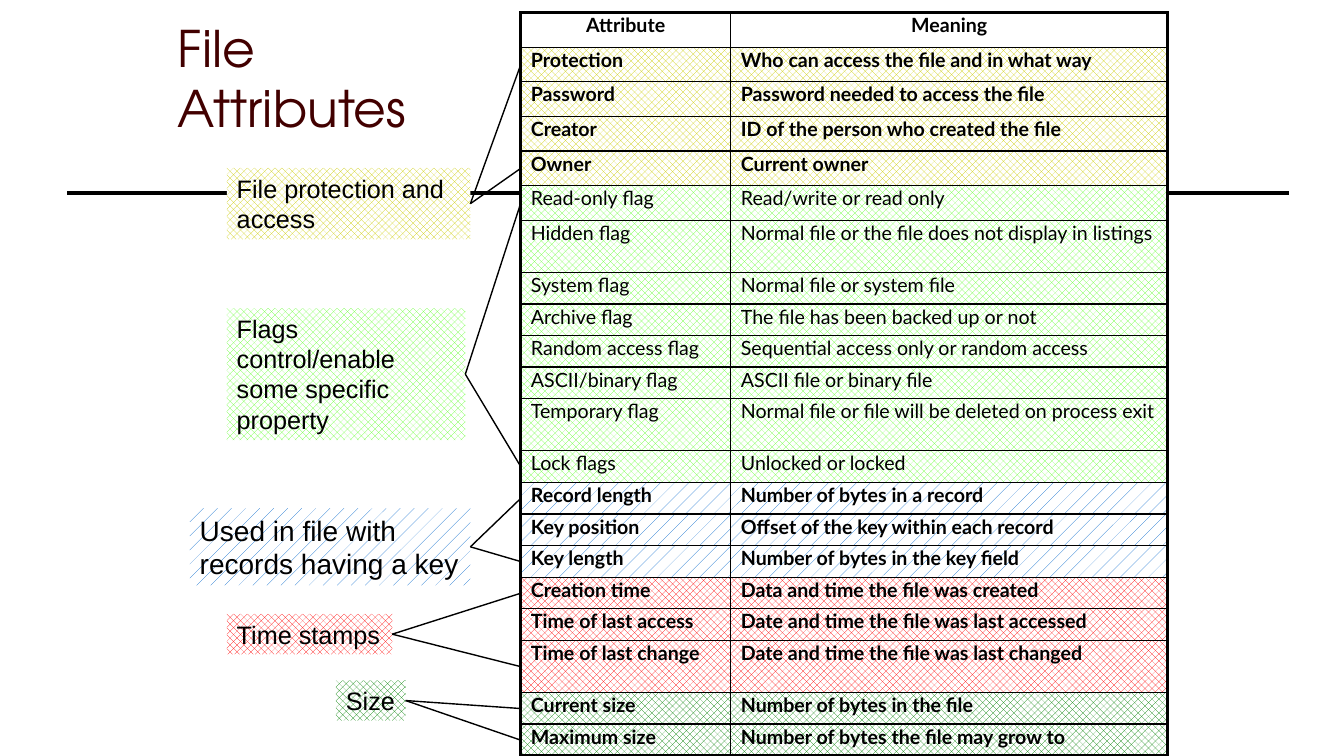
from itertools import accumulate

from lxml import etree
from pptx import Presentation
from pptx import util as u
from pptx.dml.color import RGBColor
from pptx.enum import dml, shapes, text
from pptx.oxml import ns

COLORS = {"ink": "000000", "paper": "FFFFFF", "title": "420000", "protection": "CCCC00",
          "flags": "66FF33", "records": "0066CC", "times": "FF0000", "size": "008000"}
COLUMNS, ROWS = 160, 90
THIN, THICK = 1, 2.25
TABLE_LEFT, TABLE_TOP, TABLE_HEIGHT = 62, 1.5, 88.5
TABLE_COLUMNS = (25, 52)
UPPER_ROW, TALL_ROW = 4.12, 6.2
UPPER_ROWS = range(6)
TALL_ROWS = {"Hidden flag", "Temporary flag", "Time of last change"}

# colour name, label, label box (left, top, width, height), label size, wraps, attributes
GROUPS = [
    ("protection", "File protection and access", (27, 20, 29, 8.5), 18, True, [
        ("Protection", "Who can access the file and in what way"),
        ("Password", "Password needed to access the file"),
        ("Creator", "ID of the person who created the file"),
        ("Owner", "Current owner")]),
    ("flags", "Flags control/enable some specific property", (27, 36.7, 28.4, 15.7), 18, True, [
        ("Read-only flag", "Read/write or read only"),
        ("Hidden flag", "Normal file or the file does not display in listings"),
        ("System flag", "Normal file or system file"),
        ("Archive flag", "The file has been backed up or not"),
        ("Random access flag", "Sequential access only or random access"),
        ("ASCII/binary flag", "ASCII file or binary file"),
        ("Temporary flag", "Normal file or file will be deleted on process exit"),
        ("Lock flags", "Unlocked or locked")]),
    ("records", "Used in file with records having a key", (22.6, 60.5, 33.4, 9.2), 20, True, [
        ("Record length", "Number of bytes in a record"),
        ("Key position", "Offset of the key within each record"),
        ("Key length", "Number of bytes in the key field")]),
    ("times", "Time stamps", (27, 73.1, 19.7, 4.8), 18, False, [
        ("Creation time", "Data and time the file was created"),
        ("Time of last access", "Date and time the file was last accessed"),
        ("Time of last change", "Date and time the file was last changed")]),
    ("size", "Size", (40, 81, 8.3, 4.8), 18, False, [
        ("Current size", "Number of bytes in the file"),
        ("Maximum size", "Number of bytes the file may grow to")]),
]


def rgb(name):
    return RGBColor.from_string(COLORS[name])


class SlideBuilder:
    def __init__(self, presentation):
        self.presentation = presentation
        self.slide = presentation.slides.add_slide(presentation.slide_layouts[6])

    def x(self, columns):
        return u.Emu(round(self.presentation.slide_width * columns / COLUMNS))

    def y(self, rows):
        return u.Emu(round(self.presentation.slide_height * rows / ROWS))

    def frame(self, left, top, width, height):
        return self.x(left), self.y(top), self.x(width), self.y(height)

    def set_words(self, paragraph, words, font, size, color="ink", bold=False):
        paragraph.text = words
        paragraph.font.name = font
        paragraph.font.size = u.Pt(size)
        paragraph.font.bold = bold
        paragraph.font.color.rgb = rgb(color)

    def hatch(self, fill, name):
        fill.patterned()
        sparse = name == "records"
        fill.pattern = dml.MSO_PATTERN.PERCENT_5 if sparse else dml.MSO_PATTERN.PERCENT_50
        fill.fore_color.rgb = rgb(name)
        fill.back_color.rgb = rgb("paper")

    def title(self, words, box):
        frame = self.slide.shapes.add_textbox(*self.frame(*box)).text_frame
        frame.word_wrap = True
        frame.vertical_anchor = text.MSO_ANCHOR.BOTTOM
        self.set_words(frame.paragraphs[0], words, "TeX Gyre Adventor", 36, "title")

    def label(self, words, box, size, wraps, color):
        shape = self.slide.shapes.add_shape(shapes.MSO_SHAPE.RECTANGLE, *self.frame(*box))
        shape.shadow.inherit = False
        shape.line.fill.background()
        self.hatch(shape.fill, color)
        frame = shape.text_frame
        frame.word_wrap = wraps
        frame.auto_size = text.MSO_AUTO_SIZE.SHAPE_TO_FIT_TEXT
        frame.vertical_anchor = text.MSO_ANCHOR.TOP
        paragraph = frame.paragraphs[0]
        self.set_words(paragraph, words, "Arial", size)
        paragraph.alignment = text.PP_ALIGN.LEFT
        return shape

    def line(self, start, end, weight, source=None):
        """Draw a straight line, joined to the right side of source if given."""
        connector = self.slide.shapes.add_connector(
            shapes.MSO_CONNECTOR.STRAIGHT, self.x(start[0]), self.y(start[1]),
            self.x(end[0]), self.y(end[1]))
        connector.line.color.rgb = rgb("ink")
        connector.line.width = u.Pt(weight)
        etree.SubElement(connector._element.spPr, ns.qn("a:effectLst"))
        if source is not None:
            connector.begin_connect(source, 3)

    def borders(self, cell, widths):
        """Set left, right, top and bottom border widths in points."""
        properties = cell._tc.get_or_add_tcPr()
        for position, (side, width) in enumerate(zip("LRTB", widths)):
            border = etree.Element(ns.qn(f"a:ln{side}"), w=str(u.Pt(width)))
            fill = etree.SubElement(border, ns.qn("a:solidFill"))
            etree.SubElement(fill, ns.qn("a:srgbClr"), val=COLORS["ink"])
            properties.insert(position, border)

    def table(self, records, heights):
        """Build the table from (colour name or None, texts) records."""
        box = TABLE_LEFT, TABLE_TOP, sum(TABLE_COLUMNS), TABLE_HEIGHT
        table = self.slide.shapes.add_table(
            len(records), len(TABLE_COLUMNS), *self.frame(*box)).table
        table.first_row = table.horz_banding = False
        for column, width in zip(table.columns, TABLE_COLUMNS):
            column.width = self.x(width)
        last = len(records) - 1
        for i, (color, texts) in enumerate(records):
            table.rows[i].height = self.y(heights[i])
            for j, words in enumerate(texts):
                cell = table.cell(i, j)
                paragraph = cell.text_frame.paragraphs[0]
                self.set_words(paragraph, words, "Lato", 14, bold=color != "flags")
                paragraph.line_spacing = 0.8
                if color:
                    self.hatch(cell.fill, color)
                else:
                    cell.fill.background()
                    paragraph.alignment = text.PP_ALIGN.CENTER
                outer = j == 0, j == 1, i == 0, i == last
                self.borders(cell, [THICK if edge else THIN for edge in outer])


def row_heights(records):
    names = [texts[0] for _, texts in records]
    fixed = [TALL_ROW if name in TALL_ROWS else UPPER_ROW if i in UPPER_ROWS else None
             for i, name in enumerate(names)]
    rest = TABLE_HEIGHT - sum(height for height in fixed if height)
    return [height or rest / fixed.count(None) for height in fixed]


def main():
    presentation = Presentation()
    presentation.slide_width, presentation.slide_height = u.Inches(13.33), u.Inches(7.5)
    builder = SlideBuilder(presentation)
    builder.line((153.4, 23), (8, 23), 3)
    builder.title("File Attributes", (20, 11, 39.4, 6))

    records = [(None, ("Attribute", "Meaning"))]
    records += [(color, texts) for color, *_, rows in GROUPS for texts in rows]
    heights = row_heights(records)
    builder.table(records, heights)
    tops = accumulate(heights, initial=TABLE_TOP)
    centers = [top + height / 2 for top, height in zip(tops, heights)]

    first = 1
    for color, words, box, size, wraps, rows in GROUPS:
        shape = builder.label(words, box, size, wraps, color)
        left, top, width, height = box
        for row in (first, first + len(rows) - 1):
            builder.line((left + width, top + height / 2), (TABLE_LEFT, centers[row]),
                         THIN, shape)
        first += len(rows)
    presentation.save("out.pptx")


if __name__ == "__main__":
    main()
